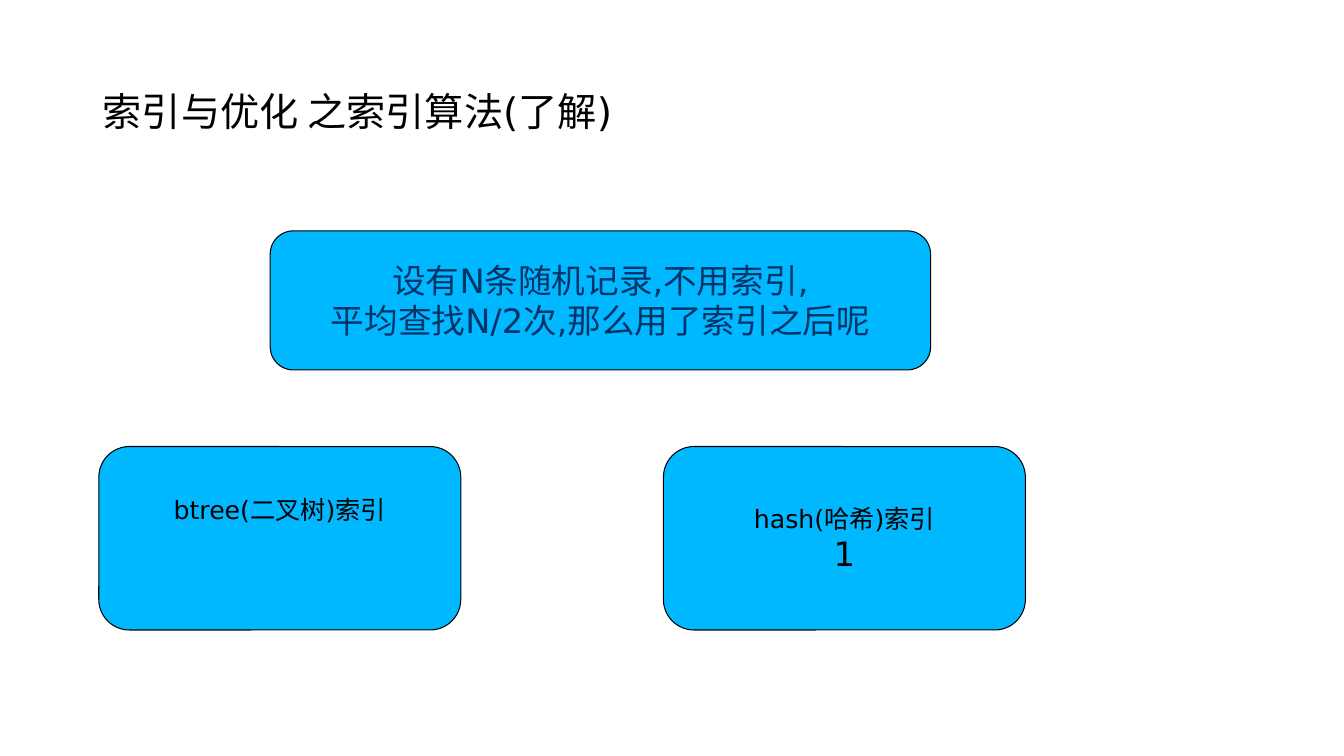
from pptx import Presentation
from pptx.dml.color import RGBColor
from pptx.enum.shapes import MSO_SHAPE
from pptx.enum.text import MSO_ANCHOR, PP_ALIGN
from pptx.util import Inches, Pt

FONT = "DejaVu Sans"
BLACK = RGBColor(0x00, 0x00, 0x00)
NAVY = RGBColor(0x00, 0x33, 0x66)
SKY_BLUE = RGBColor(0x00, 0xB8, 0xFF)


def add_run(paragraph, text, size, color):
    run = paragraph.add_run()
    run.text = text
    run.font.name = FONT
    run.font.size = Pt(size)
    run.font.color.rgb = color


def set_title(slide, text):
    title = slide.shapes.title
    title.left, title.top = Inches(0.92), Inches(0.4)
    title.width, title.height = Inches(11.5), Inches(1.45)
    title.text_frame.vertical_anchor = MSO_ANCHOR.MIDDLE
    paragraph = title.text_frame.paragraphs[0]
    paragraph.alignment = PP_ALIGN.LEFT
    paragraph.line_spacing = 0.9
    add_run(paragraph, text, 28, BLACK)


def add_box(slide, kind, left, top, width, height, lines, color=BLACK):
    """Add a filled box with one centred paragraph per (text, size) line."""
    shape = slide.shapes.add_shape(
        kind, Inches(left), Inches(top), Inches(width), Inches(height))
    shape.shadow.inherit = False
    shape.fill.solid()
    shape.fill.fore_color.rgb = SKY_BLUE
    shape.line.color.rgb = BLACK
    shape.line.width = Pt(0.75)
    frame = shape.text_frame
    frame.word_wrap = False
    frame.vertical_anchor = MSO_ANCHOR.MIDDLE
    for index, (text, size) in enumerate(lines):
        paragraph = frame.add_paragraph() if index else frame.paragraphs[0]
        paragraph.alignment = PP_ALIGN.CENTER
        add_run(paragraph, text, size, color)
    return shape


def add_index_box(slide, left, lines):
    return add_box(slide, MSO_SHAPE.FLOWCHART_ALTERNATE_PROCESS,
                   left, 4.43, 3.59, 1.82, lines)


def main():
    presentation = Presentation()
    presentation.slide_width = Inches(13.33)
    presentation.slide_height = Inches(7.5)
    slide = presentation.slides.add_slide(presentation.slide_layouts[5])

    set_title(slide, "索引与优化 之索引算法(了解)")
    add_box(slide, MSO_SHAPE.ROUNDED_RECTANGLE, 2.68, 2.29, 6.55, 1.38,
            [("设有N条随机记录,不用索引,", 24),
             ("平均查找N/2次,那么用了索引之后呢", 24)], NAVY)
    btree_box = add_index_box(slide, 0.98, [("btree(二叉树)索引", 18)])
    btree_box.text_frame.margin_bottom = Inches(0.63)
    add_index_box(slide, 6.58, [("hash(哈希)索引", 18), ("1", 24)])

    presentation.save("out.pptx")


if __name__ == "__main__":
    main()
